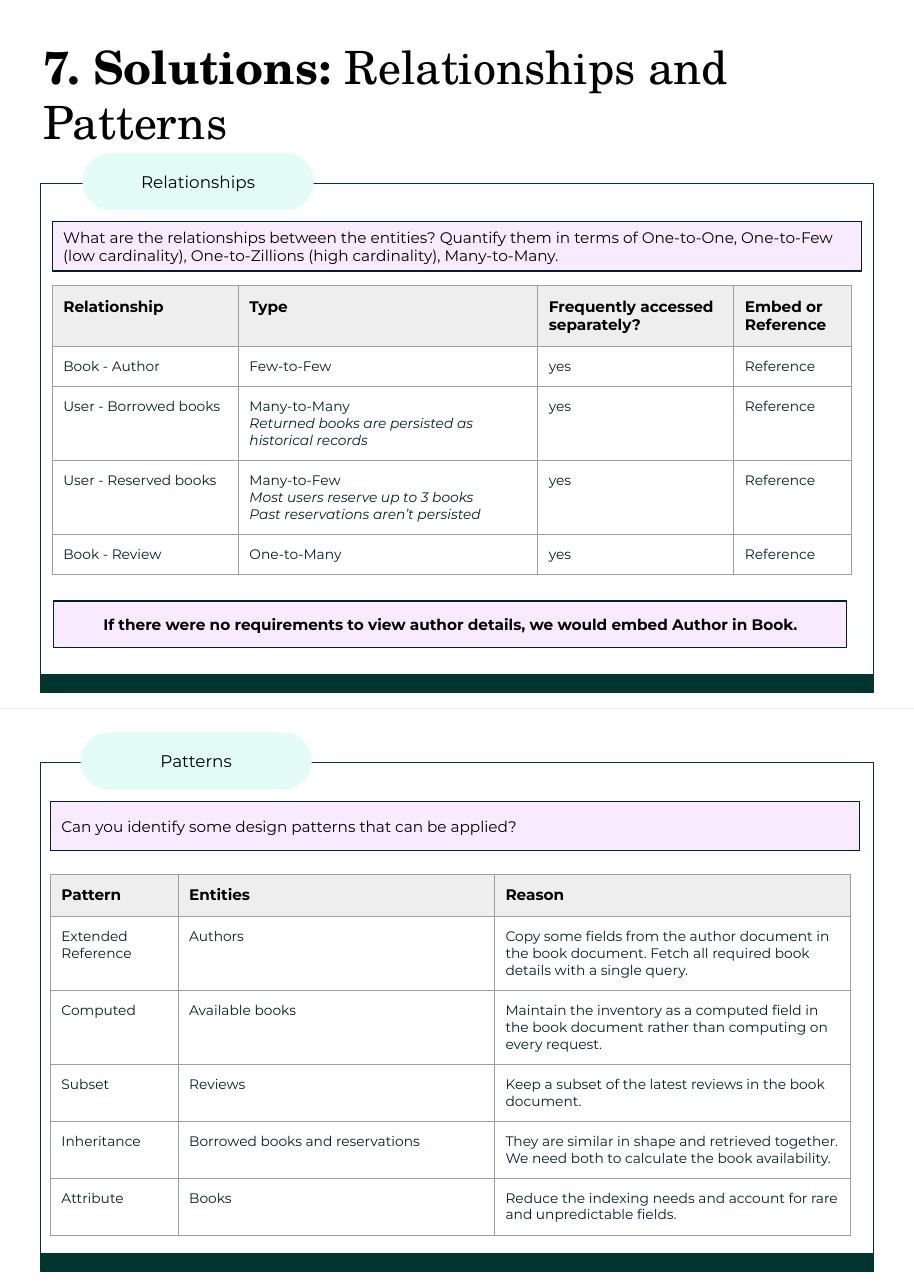
from lxml import etree
from pptx import Presentation
from pptx import oxml
from pptx.dml.color import RGBColor
from pptx.enum import shapes, text
from pptx.oxml import ns
from pptx.util import Pt

BLACK = RGBColor(0x00, 0x00, 0x00)
INK = RGBColor(0x00, 0x1E, 0x2B)
FOREST = RGBColor(0x02, 0x34, 0x30)
MINT = RGBColor(0xE3, 0xFC, 0xF7)
LILAC = RGBColor(0xF9, 0xEB, 0xFF)
PALE = RGBColor(0xEE, 0xEE, 0xEE)
GREY = RGBColor(0x9E, 0x9E, 0x9E)

WIDTH, HEIGHT = 597.6, 842.4
PANEL_LEFT, PANEL_WIDTH, PANEL_HEIGHT, BAR_HEIGHT = 26.64, 544.32, 321.1, 11.5

RELATIONSHIPS = [
    ["Relationship", "Type", "Frequently accessed separately?", "Embed or Reference"],
    ["Book - Author", "Few-to-Few", "yes", "Reference"],
    ["User - Borrowed books",
     [[("Many-to-Many", "")],
      [("Returned books are persisted as historical records", "i")]],
     "yes", "Reference"],
    ["User - Reserved books",
     [[("Many-to-Few\n", ""),
       ("Most users reserve up to 3 books\nPast reservations aren’t persisted", "i")]],
     "yes", "Reference"],
    ["Book - Review", "One-to-Many", "yes", "Reference"],
]
PATTERNS = [
    ["Pattern", "Entities", "Reason"],
    ["Extended Reference", "Authors",
     "Copy some fields from the author document in the book document. "
     "Fetch all required book details with a single query."],
    ["Computed", "Available books",
     "Maintain the inventory as a computed field in the book document "
     "rather than computing on every request."],
    ["Subset", "Reviews",
     "Keep a subset of the latest reviews in the book document."],
    ["Inheritance", "Borrowed books and reservations",
     "They are similar in shape and retrieved together. "
     "We need both to calculate the book availability."],
    ["Attribute", "Books",
     "Reduce the indexing needs and account for rare and unpredictable fields."],
]


class Worksheet:
    """Holds the style and the current page, and draws each kind of element."""

    body_font = "Montserrat"
    title_font = "TeX Gyre Schola"
    line_width = 0.75
    inset = 7.2
    cell_inset = 7.6

    def __init__(self, page):
        self.page = page

    def add_words(self, frame, content, size, color=BLACK, style="", font=None, align=None):
        paragraphs = [[(content, style)]] if isinstance(content, str) else content
        for index, spans in enumerate(paragraphs):
            para = frame.add_paragraph() if index else frame.paragraphs[0]
            para.alignment = align or text.PP_ALIGN.LEFT
            for words, look in spans:
                for number, line in enumerate(words.split("\n")):
                    if number:
                        para.add_line_break()
                    if line:
                        span = para.add_run()
                        span.text = line
                        span.font.name = font or self.body_font
                        span.font.size = Pt(size)
                        span.font.bold = "b" in look
                        span.font.italic = "i" in look
                        span.font.color.rgb = color

    def prepare(self, frame):
        frame.word_wrap = True
        frame.vertical_anchor = text.MSO_ANCHOR.MIDDLE
        frame.margin_left = frame.margin_right = Pt(self.inset)
        frame.margin_top = frame.margin_bottom = Pt(self.inset)

    def box(self, left, top, width, height, fill=None, line=None,
            kind=shapes.MSO_SHAPE.RECTANGLE):
        box = self.page.shapes.add_shape(kind, Pt(left), Pt(top), Pt(width), Pt(height))
        box.shadow.inherit = False
        if fill is None:
            box.fill.background()
        else:
            box.fill.solid()
            box.fill.fore_color.rgb = fill
        if line is None:
            box.line.fill.background()
        else:
            box.line.color.rgb = line
            box.line.width = Pt(self.line_width)
        self.prepare(box.text_frame)
        return box

    def panel(self, top):
        self.box(PANEL_LEFT, top, PANEL_WIDTH, PANEL_HEIGHT, line=FOREST)
        self.box(PANEL_LEFT, top + PANEL_HEIGHT, PANEL_WIDTH, BAR_HEIGHT, FOREST, FOREST)

    def tab(self, left, top, label):
        tab = self.box(left, top, 151.2, 37.4, MINT, kind=shapes.MSO_SHAPE.ROUNDED_RECTANGLE)
        tab.adjustments[0] = 0.5
        self.add_words(tab.text_frame, label, 11, align=text.PP_ALIGN.CENTER)

    def note(self, left, top, width, height, words, style="", align=None):
        note = self.box(left, top, width, height, LILAC, INK)
        self.add_words(note.text_frame, words, 10, style=style, align=align)

    def title(self, left, top, width, height, spans):
        box = self.page.shapes.add_textbox(Pt(left), Pt(top), Pt(width), Pt(height))
        self.prepare(box.text_frame)
        self.add_words(box.text_frame, [spans], 30, font=self.title_font)

    def divider(self, top):
        line = self.page.shapes.add_connector(
            shapes.MSO_CONNECTOR.STRAIGHT, Pt(WIDTH), Pt(top), Pt(0), Pt(top))
        line.line.color.rgb = PALE
        line.line.width = Pt(self.line_width)
        etree.SubElement(line._element.spPr, ns.qn("a:effectLst"))

    def borders(self, cell):
        properties = cell._tc.get_or_add_tcPr()
        for index, side in enumerate(("lnL", "lnR", "lnT", "lnB")):
            properties.insert(index, oxml.parse_xml(
                f'<a:{side} {ns.nsdecls("a")} w="{Pt(self.line_width)}">'
                f'<a:solidFill><a:srgbClr val="{GREY}"/></a:solidFill></a:{side}>'))

    def table(self, left, top, widths, heights, rows):
        table = self.page.shapes.add_table(
            len(rows), len(widths), Pt(left), Pt(top),
            Pt(sum(widths)), Pt(sum(heights))).table
        table.first_row = table.horz_banding = False
        for column, width in zip(table.columns, widths):
            column.width = Pt(width)
        for number, (row, height, contents) in enumerate(zip(table.rows, heights, rows)):
            row.height = Pt(height)
            for cell, content in zip(row.cells, contents):
                cell.margin_left = cell.margin_right = Pt(self.inset)
                cell.margin_top = cell.margin_bottom = Pt(self.cell_inset)
                if number:
                    cell.fill.background()
                    self.add_words(cell.text_frame, content, 9, INK)
                else:
                    cell.fill.solid()
                    cell.fill.fore_color.rgb = PALE
                    self.add_words(cell.text_frame, content, 10, style="b")
                self.borders(cell)


def main():
    deck = Presentation()
    deck.slide_width, deck.slide_height = Pt(WIDTH), Pt(HEIGHT)
    sheet = Worksheet(deck.slides.add_slide(deck.slide_layouts[6]))

    sheet.panel(120.2)
    sheet.tab(54, 100, "Relationships")
    sheet.note(34.2, 144.8, 529.2, 32.5,
               "What are the relationships between the entities? Quantify them in terms of "
               "One-to-One, One-to-Few (low cardinality), One-to-Zillions (high cardinality), "
               "Many-to-Many.")
    sheet.table(34.2, 186.9, [121.7, 195.8, 128.2, 77],
                [39.7, 26.2, 48.3, 48.3, 26.2], RELATIONSHIPS)

    sheet.panel(499)
    sheet.tab(52.7, 479, "Patterns")
    sheet.note(33, 524, 529.2, 32.5,
               "Can you identify some design patterns that can be applied?")
    sheet.table(33, 572, [83.5, 206.9, 232.5],
                [27.4, 48.3, 48.3, 37.2, 37.2, 37.2], PATTERNS)

    sheet.divider(463.2)
    sheet.note(35, 393.1, 518.7, 30.2,
               "If there were no requirements to view author details, "
               "we would embed Author in Book.", "b", text.PP_ALIGN.CENTER)
    sheet.title(21.2, 19.4, 549.4, 83.5,
                [("7. Solutions: ", "b"), ("Relationships and Patterns", "")])
    deck.save("out.pptx")


if __name__ == "__main__":
    main()
